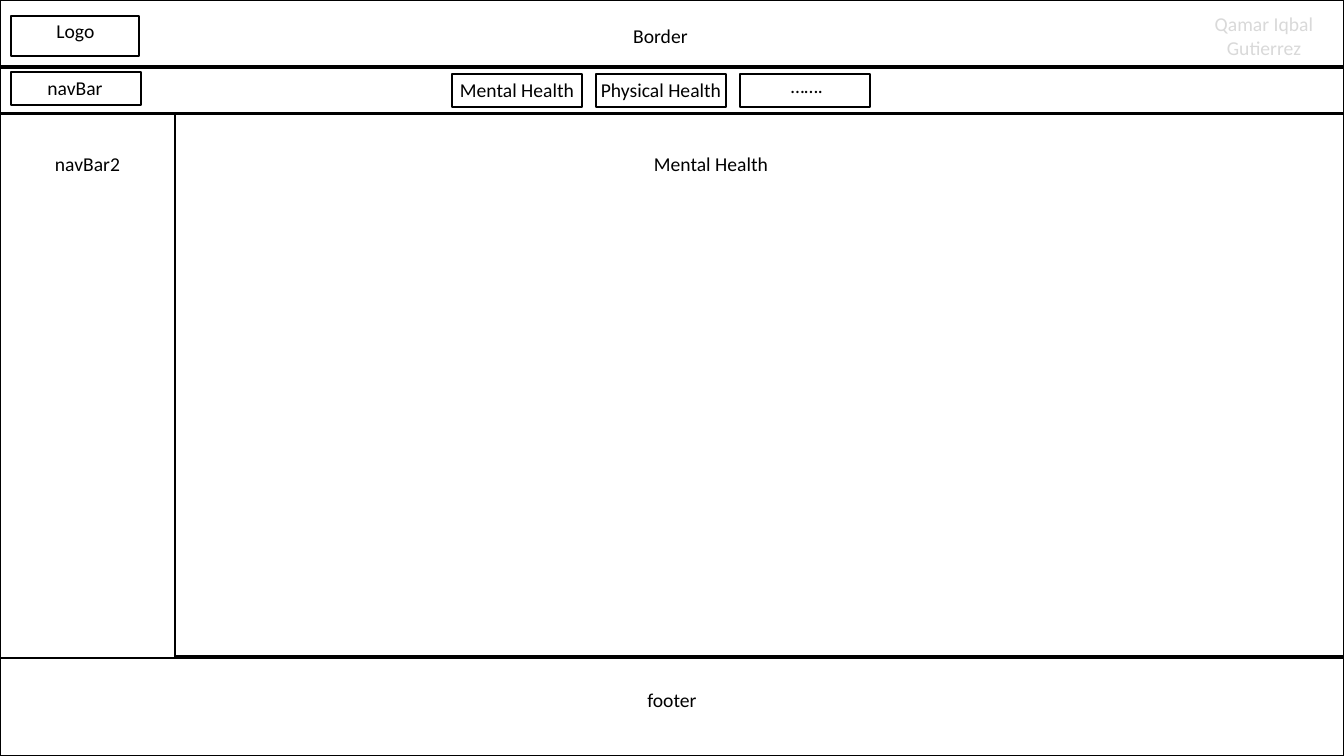
from pptx import Presentation
from pptx.dml.color import RGBColor as Rgb
from pptx.enum.shapes import MSO_SHAPE as Shape
from pptx.enum.text import MSO_AUTO_SIZE as Fit, PP_ALIGN as Align
from pptx.util import Pt

PX = 914400 / 100.8
WIDE, HIGH = 1344, 756
BLACK, WHITE, GRAY = "000000", "FFFFFF", "D9D9D9"

# Page regions and buttons: left, top, width, height
boxes = [
    (0, 0, WIDE, 66),       # header
    (0, 68, WIDE, 45),      # navigation bar
    (11, 16, 128, 40),      # logo
    (11, 72, 130, 33),      # navigation label
    (175, 114, 1169, 542),  # main area
    (0, 114, 175, 544),     # side bar
    (0, 658, WIDE, 98),     # footer
]

# Text: words, left, top, width, height, colour
labels = [
    ("Logo", 18, 14, 115, 34, BLACK),
    ("Border", 526, 19, 269, 34, BLACK),
    ("Qamar Iqbal Gutierrez", 1185, 7, 158, 57, GRAY),
    ("navBar", -4, 71, 158, 34, BLACK),
    ("navBar2", 11, 147, 153, 34, BLACK),
    ("Mental Health", 259, 147, 904, 34, BLACK),
    ("footer", 220, 683, 904, 34, BLACK),
]

# Tabs: words, sideways and upward nudge of the text
tabs = [("Mental Health", 0, 0), ("Physical Health", 0, 0), ("…….", 2, 4)]
TAB_X, TAB_Y, TAB_STEP = 452, 74, 144


def color(text):
    return Rgb.from_string(text)


def emu(*lengths):
    return [round(n * PX) for n in lengths]


def add_box(slide, *place):
    box = slide.shapes.add_shape(Shape.RECTANGLE, *emu(*place))
    box.shadow.inherit = False
    box.fill.solid()
    box.fill.fore_color.rgb = color(WHITE)
    box.line.color.rgb = color(BLACK)
    box.line.width = Pt(1)


def add_label(slide, words, left, top, width, height, ink):
    place = emu(left, top, width, height)
    frame = slide.shapes.add_textbox(*place).text_frame
    frame.word_wrap = True
    frame.auto_size = Fit.SHAPE_TO_FIT_TEXT
    para = frame.paragraphs[0]
    para.text = words
    para.alignment = Align.CENTER
    para.font.name = "Calibri"
    para.font.size = Pt(14)
    para.font.color.rgb = color(ink)


def main():
    deck = Presentation()
    deck.slide_width, deck.slide_height = emu(WIDE, HIGH)
    slide = deck.slides.add_slide(deck.slide_layouts[6])

    # Page frame
    for place in boxes:
        add_box(slide, *place)
    for label in labels:
        add_label(slide, *label)

    # Row of tabs
    for i, (words, side, up) in enumerate(tabs):
        left = TAB_X + i * TAB_STEP
        add_box(slide, left, TAB_Y, 130, 33)
        add_label(slide, words, left - 14 + side, TAB_Y - 1 - up, 158, 34, BLACK)

    deck.save("out.pptx")


if __name__ == "__main__":
    main()
